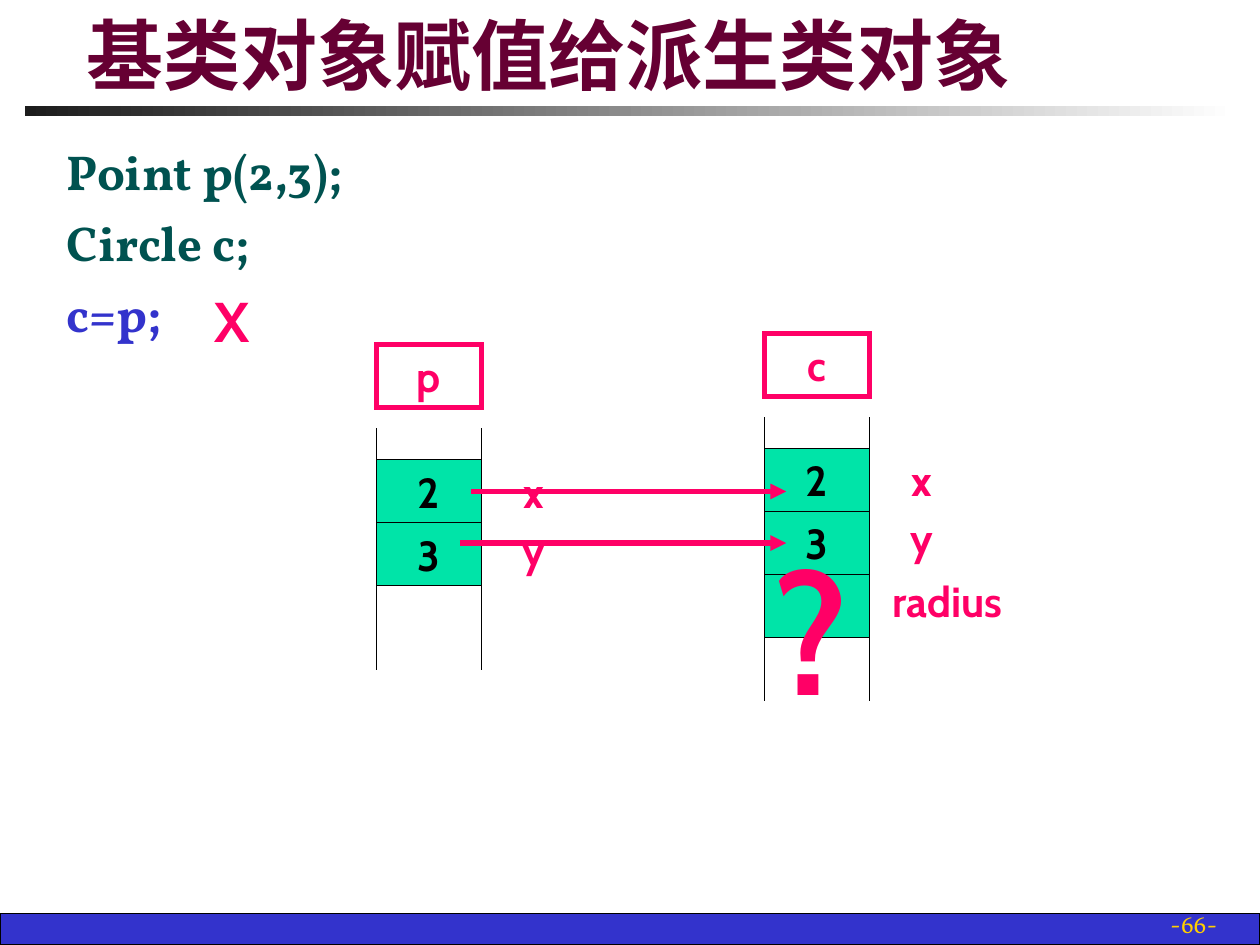
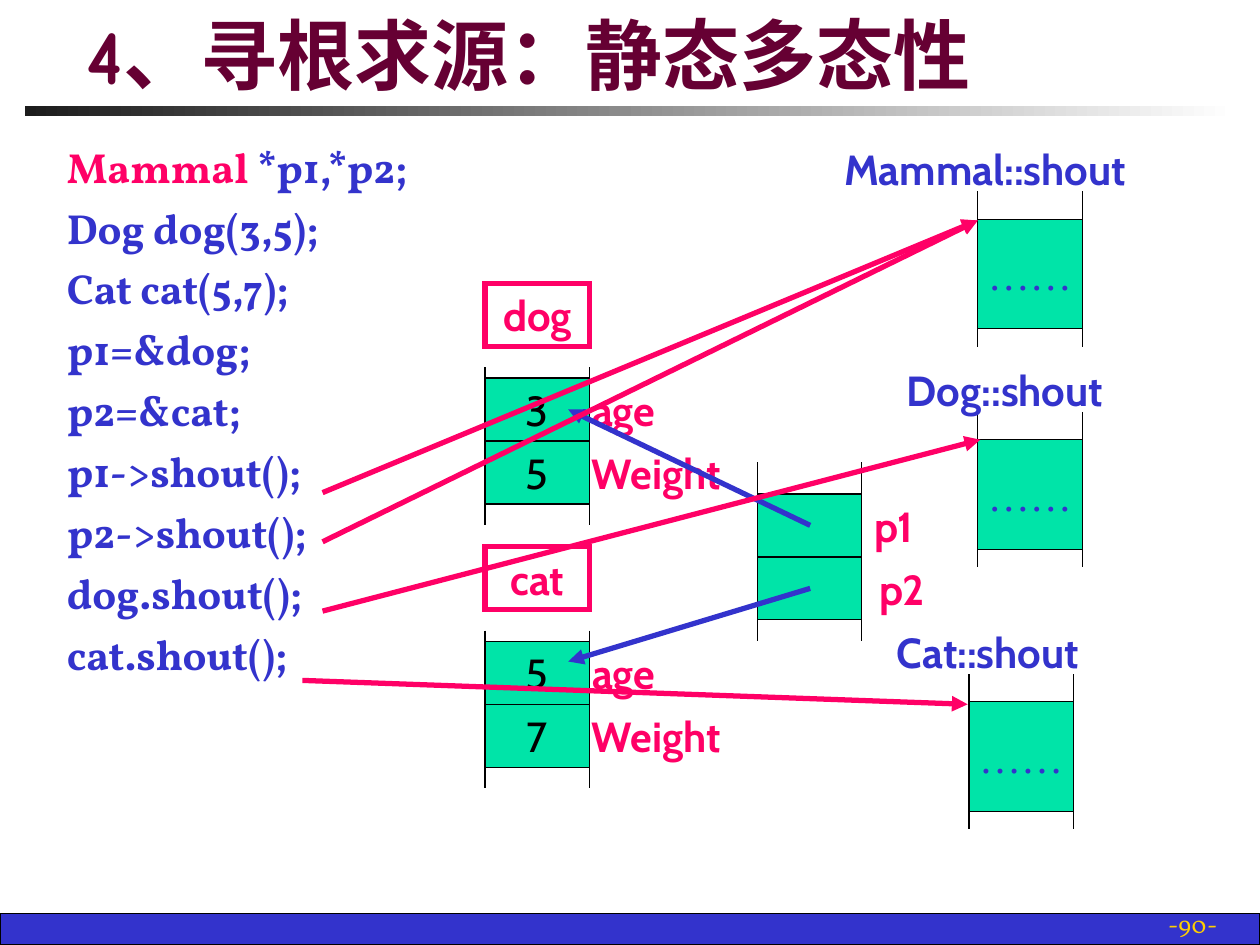
from dataclasses import dataclass
from typing import NamedTuple

from lxml.etree import SubElement
from pptx import Presentation
from pptx.dml.color import RGBColor as RGB
from pptx.enum.shapes import MSO_CONNECTOR as LINK, MSO_SHAPE as SHAPE
from pptx.enum.text import MSO_ANCHOR as ANCHOR, MSO_AUTO_SIZE as FIT, PP_ALIGN as ALIGN
from pptx.oxml.ns import qn
from pptx.util import Inches, Pt


@dataclass(frozen=True)
class Theme:
    title: str = "660033"
    blue: str = "3333CC"
    pink: str = "FF0066"
    green: str = "005250"
    cell: str = "00E4A8"
    black: str = "000000"
    page: str = "FFCF01"
    fade: tuple = ("1C1C1C", "FFFFFF")
    title_font: str = "Comic Neue"
    code_font: str = "Vollkorn"
    label_font: str = "Cabin"
    dots_font: str = "Times New Roman"
    title_size: int = 44
    label_size: int = 24
    cross_size: int = 32
    mark_size: int = 96
    page_size: int = 14
    code_gap: float = 0.25  # space before a code line, as a share of its size
    thin: float = 0.75
    thick: float = 3


T = Theme()
WIDTH, HEIGHT = 10, 7.5
COL, ROW = 0.83, 0.5  # one memory cell, in inches


class Label(NamedTuple):
    words: str
    gap: float      # from the right edge of the cell
    width: float
    height: float = ROW


@dataclass(frozen=True)
class Stack:
    """A column of memory cells; over, under, tall and head_up count rows."""
    left: float
    top: float
    cells: tuple
    over: float
    under: float
    labels: tuple = ()
    head: str = ""
    head_up: float = 0
    tall: float = 1
    bold: bool = False
    font: str = T.label_font
    color: str = T.black
    label_align: ALIGN = ALIGN.LEFT
    caption: tuple = ()  # words, left, width


# Content: memory diagrams
def point(left, top, name, cells, under, labels):
    return Stack(left, top, cells, 0.5, under, labels, name, 1.83, bold=True,
                 label_align=ALIGN.CENTER)


def animal(top, name, cells):
    fields = (Label("age", -0.08, 0.82), Label("Weight", -0.08, 1.4))
    return Stack(3.85, top, cells, 0.17, 0.33, fields, name, 1.5)


def method(left, top, words, caption_left, caption_width):
    return Stack(left, top, ("……",), 0.44, 0.28, tall=1.74, font=T.dots_font,
                 color=T.blue, caption=(words, caption_left, caption_width))


XY = (Label("x", 0.08, 0.67), Label("y", 0.08, 0.67, 0.42))

SLIDES = [
    dict(
        title="基类对象赋值给派生类对象", page="-66-", code_size=28,
        code=[[("Point p(2,3);", T.green)], [("Circle c;", T.green)], [("c=p;", T.blue)]],
        stacks=[
            point(2.99, 3.65, "p", ("2", "3"), 1.33, XY),
            point(6.07, 3.56, "c", ("2", "3", ""), 1,
                  XY + (Label("radius", 0.08, 1.08, 0.42),)),
        ],
        arrows=[(T.pink, (3.74, 3.9), (6.24, 3.9)), (T.pink, (3.65, 4.31), (6.24, 4.31))],
        marks=[("X", (1.38, 2.25, 0.92, 0.58), T.cross_size),
               ("?", (5.82, 4.4, 1.25, 1.17), T.mark_size)],
    ),
    dict(
        title="4、寻根求源：静态多态性", page="-90-", code_size=24,
        code=[[("Mammal", T.pink), (" *p1,*p2;", T.blue)]] + [
            [(line, T.blue)] for line in (
                "Dog dog(3,5);", "Cat cat(5,7);", "p1=&dog;", "p2=&cat;",
                "p1->shout();", "p2->shout();", "dog.shout();", "cat.shout();")],
        stacks=[
            Stack(6.01, 3.92, ("", ""), 0.5, 0.33,
                  (Label("p1", 0, 0.62), Label("p2", 0.04, 0.62))),
            animal(3, "dog", ("3", "5")),
            animal(5.09, "cat", ("5", "7")),
            method(7.76, 1.74, "Mammal::shout", 6.6, 2.82),
            method(7.76, 3.49, "Dog::shout", 7.1, 2.06),
            method(7.69, 5.57, "Cat::shout", 7.02, 1.95),
        ],
        arrows=[
            (T.blue, (6.43, 4.17), (4.51, 3.25)),
            (T.blue, (6.43, 4.67), (4.51, 5.25)),
            (T.pink, (2.56, 3.91), (7.76, 1.75)),
            (T.pink, (2.56, 4.3), (7.76, 1.75)),
            (T.pink, (2.56, 4.85), (7.78, 3.49)),
            (T.pink, (2.4, 5.4), (7.68, 5.59)),
        ],
        marks=[],
    ),
]


# Drawing helpers
def inches(lengths):
    return [Inches(length) for length in lengths]


def style(font, name, size, color, bold=True):
    font.name, font.size, font.bold = name, Pt(size), bold
    font.color.rgb = RGB.from_string(color)


def write(shape, words, color=T.pink, font=T.label_font, size=T.label_size,
          bold=True, align=ALIGN.CENTER, anchor=ANCHOR.MIDDLE):
    frame = shape.text_frame
    frame.word_wrap = align != ALIGN.CENTER
    frame.vertical_anchor = anchor
    line = frame.paragraphs[0]
    line.text, line.alignment = words, align
    style(line.font, font, size, color, bold)


def add_text(canvas, box, words, **look):
    write(canvas.add_textbox(*inches(box)), words, **look)


def add_box(canvas, box, fill=None, line=T.black, weight=T.thin):
    shape = canvas.add_shape(SHAPE.RECTANGLE, *inches(box))
    shape.shadow.inherit = False
    if fill:
        shape.fill.solid()
        shape.fill.fore_color.rgb = RGB.from_string(fill)
    else:
        shape.fill.background()
    if line:
        shape.line.color.rgb = RGB.from_string(line)
        shape.line.width = Pt(weight)
        # Square corners
        SubElement(shape._element.spPr.find(qn("a:ln")), qn("a:miter"), lim="800000")
    else:
        shape.line.fill.background()
    return shape


def add_line(canvas, start, end, color=T.black, weight=T.thin, arrow=False):
    link = canvas.add_connector(LINK.STRAIGHT, *inches(start + end))
    link.line.color.rgb = RGB.from_string(color)
    link.line.width = Pt(weight)
    properties = link._element.spPr
    if arrow:
        SubElement(properties.find(qn("a:ln")), qn("a:tailEnd"), type="triangle")
    SubElement(properties, qn("a:effectLst"))


def add_stack(slide, stack):
    canvas = slide.shapes.add_group_shape().shapes
    left, right, step = stack.left, stack.left + COL, stack.tall * ROW
    if stack.head:
        head = add_box(canvas, (left, stack.top - stack.head_up * ROW, COL, ROW),
                       line=T.pink, weight=T.thick)
        write(head, stack.head)
    rail_top = stack.top - stack.over * ROW
    rail_end = stack.top + len(stack.cells) * step + stack.under * ROW
    for x in (left, right):
        add_line(canvas, (x, rail_top), (x, rail_end))
    for row, value in enumerate(stack.cells):
        cell = add_box(canvas, (left, stack.top + row * step, COL, step), T.cell)
        if value:
            write(cell, value, stack.color, stack.font, bold=stack.bold)
    for row, label in enumerate(stack.labels):
        add_text(canvas, (right + label.gap, stack.top + row * step, label.width, label.height),
                 label.words, align=stack.label_align)
    if stack.caption:
        words, caption_left, width = stack.caption
        add_text(canvas, (caption_left, stack.top - 1.3 * ROW, width, ROW), words,
                 color=T.blue, align=ALIGN.LEFT)


# Shared parts: bands, page number, title, code list
def place(holder, box):
    holder.left, holder.top, holder.width, holder.height = inches(box)
    holder.text_frame.auto_size = FIT.NONE


def add_frame(slide, title, page):
    add_box(slide.shapes, (0, HEIGHT - 0.25, WIDTH, 0.25), T.blue)
    rule = add_box(slide.shapes, (0.2, 0.84, 9.61, 0.08), line=None)
    rule.fill.gradient()
    rule.fill.gradient_angle = 0
    for stop, color in zip(rule.fill.gradient_stops, T.fade):
        stop.color.rgb = RGB.from_string(color)
    add_text(slide.shapes, (7.68, 7.17, 2.08, 0.33), page, color=T.page, font=T.code_font,
             size=T.page_size, bold=False, align=ALIGN.RIGHT, anchor=ANCHOR.BOTTOM)
    place(slide.shapes.title, (0.59, 0.13, 8.72, 0.71))
    write(slide.shapes.title, title, T.title, T.title_font, T.title_size,
          align=ALIGN.LEFT, anchor=ANCHOR.BOTTOM)


def add_code(slide, code, size):
    body = slide.placeholders[1]
    place(body, (0.43, 1.07, 9.14, 5.67))
    frame = body.text_frame
    for number, pieces in enumerate(code):
        line = frame.add_paragraph() if number else frame.paragraphs[0]
        properties = line._p.get_or_add_pPr()
        properties.set("marL", str(Inches(0.38)))
        properties.set("indent", str(-Inches(0.38)))
        SubElement(properties, qn("a:buNone"))
        line.space_before = Pt(size * T.code_gap if number else 0)
        style(line.font, T.code_font, size, pieces[-1][1])
        for words, color in pieces:
            run = line.add_run()
            run.text = words
            if color != pieces[-1][1]:
                run.font.color.rgb = RGB.from_string(color)


def main():
    deck = Presentation()
    deck.slide_width, deck.slide_height = Inches(WIDTH), Inches(HEIGHT)
    for content in SLIDES:
        slide = deck.slides.add_slide(deck.slide_layouts[1])
        add_frame(slide, content["title"], content["page"])
        add_code(slide, content["code"], content["code_size"])
        for stack in content["stacks"]:
            add_stack(slide, stack)
        for color, start, end in content["arrows"]:
            add_line(slide.shapes, start, end, color, T.thick, arrow=True)
        for words, box, size in content["marks"]:
            add_text(slide.shapes, box, words, size=size)
    deck.save("out.pptx")


if __name__ == "__main__":
    main()
